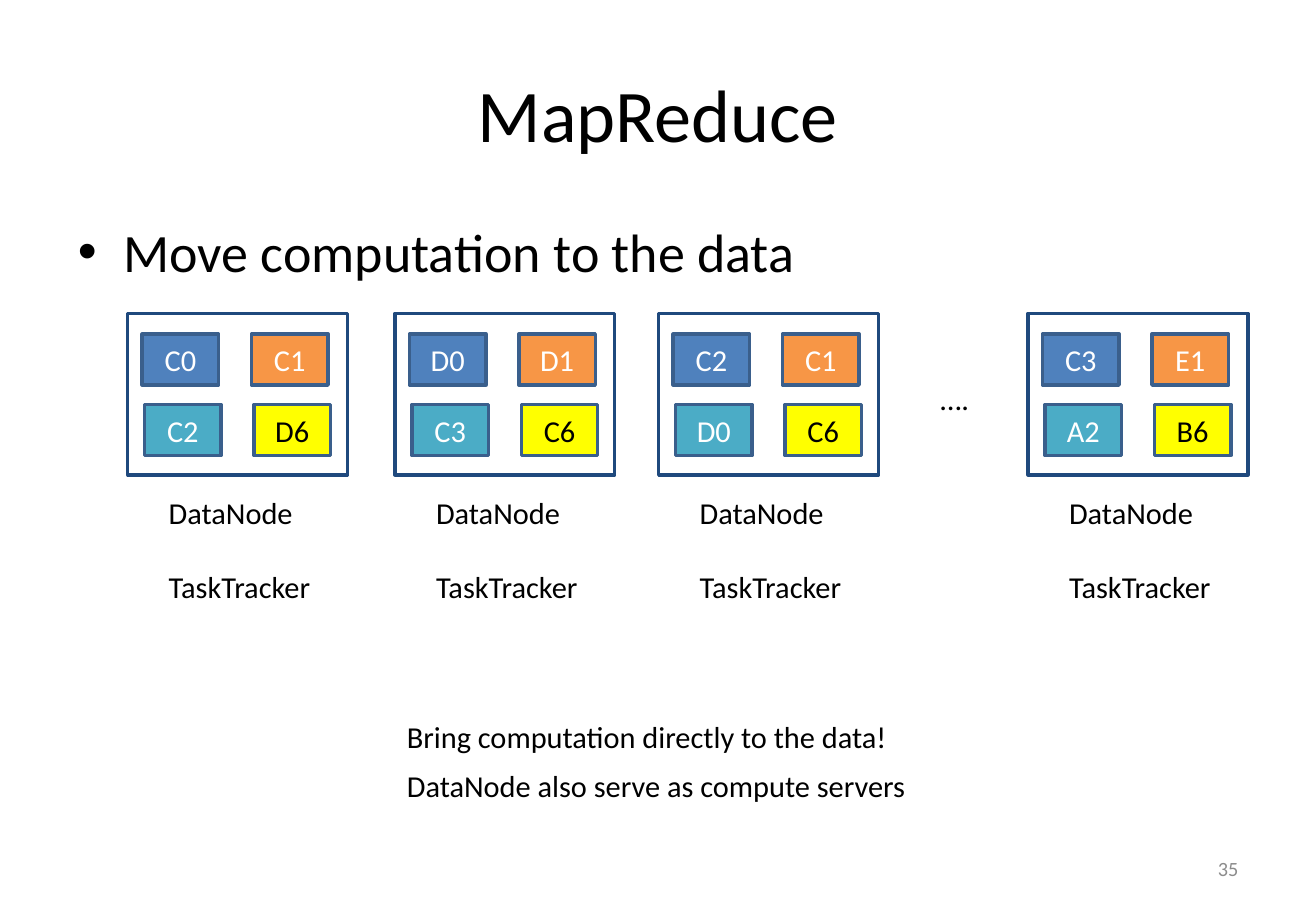
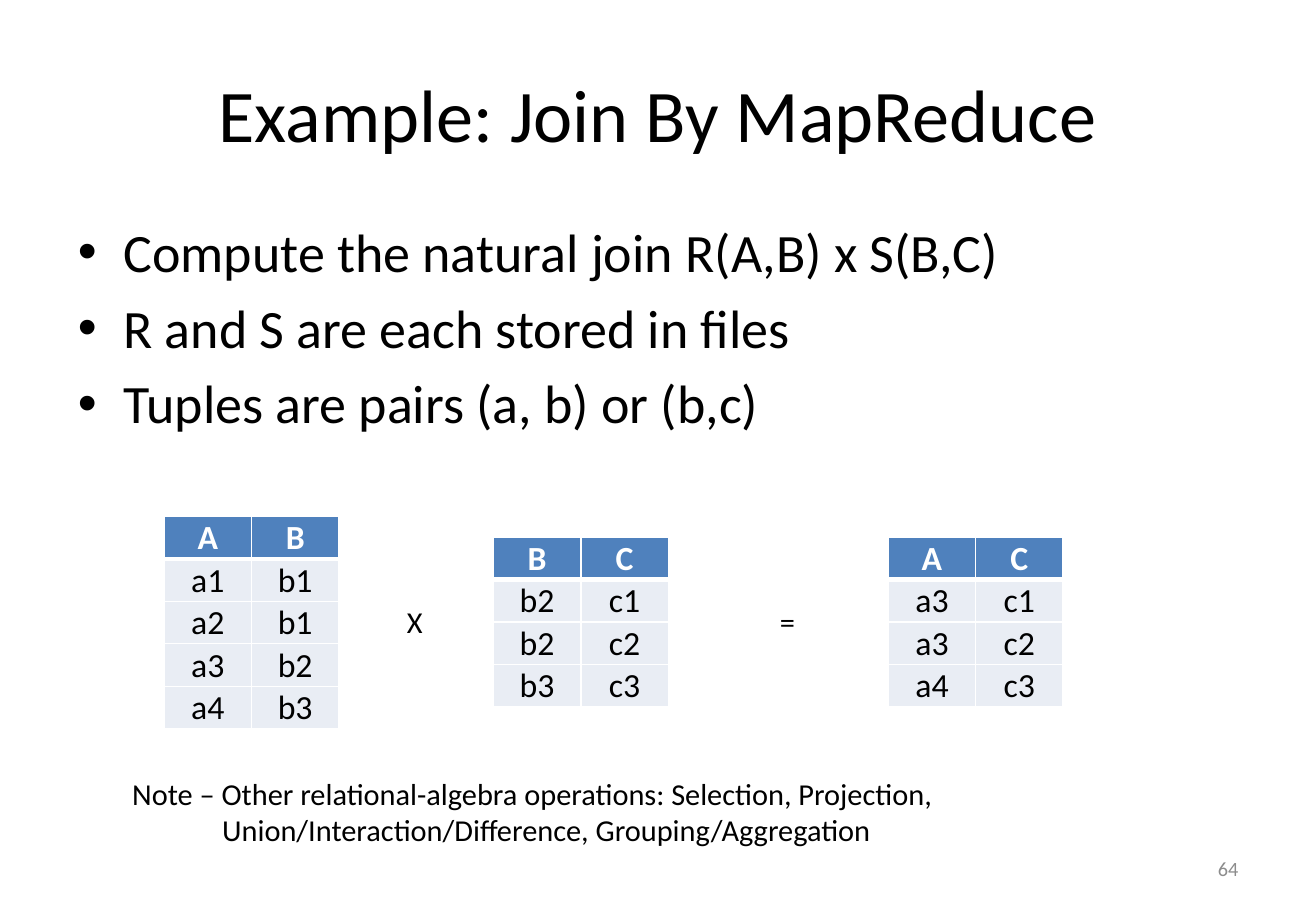
from pptx import Presentation
from pptx.dml.color import RGBColor
from pptx.enum.shapes import MSO_SHAPE
from pptx.enum.text import MSO_ANCHOR, PP_ALIGN
from pptx.oxml.ns import qn
from pptx.util import Inches, Pt
from lxml import etree

RECT = MSO_SHAPE.RECTANGLE
LEFT, CENTER, RIGHT = PP_ALIGN.LEFT, PP_ALIGN.CENTER, PP_ALIGN.RIGHT
TOP, MIDDLE, BOTTOM = MSO_ANCHOR.TOP, MSO_ANCHOR.MIDDLE, MSO_ANCHOR.BOTTOM

COLORS = {
    "black": "000000", "white": "FFFFFF", "gray": "8C8C8C",
    "navy": "1F497D", "edge": "3A5F8C", "blue": "4F81BD",
    "orange": "F79646", "teal": "4BACC6", "yellow": "FFFF00",
    "pale": "E9EDF4",
}
FONT = "Calibri"


def rgb(name):
    return RGBColor.from_string(COLORS[name])


class Deck:
    """Holds the shared style and the current slide."""

    def __init__(self):
        self.prs = Presentation()
        self.prs.slide_width = Inches(10.83)
        self.prs.slide_height = Inches(7.5)

    def style(self, p, size, color="black", align=LEFT, bold=False):
        p.alignment = align
        p.font.name, p.font.size, p.font.bold = FONT, Pt(size), bold
        p.font.color.rgb = rgb(color)

    def place(self, sp, x, y, w, h):
        sp.left, sp.top, sp.width, sp.height = map(Inches, (x, y, w, h))

    def slide(self, title, bullets, number):
        self.s = self.prs.slides.add_slide(self.prs.slide_layouts[1])
        head, body = self.s.placeholders
        self.place(head, 0.54, 0.3, 9.75, 1.25)
        head.text_frame.text = title
        head.text_frame.vertical_anchor = MIDDLE
        self.style(head.text_frame.paragraphs[0], 44, align=CENTER)
        self.place(body, 0.54, 1.75, 9.75, 4.95)
        body.text_frame.text = "\n".join(bullets)
        for p in body.text_frame.paragraphs:
            self.style(p, 32)
        self.text(number, 7.76, 6.95, 2.53, size=12, color="gray",
                  align=RIGHT, anchor=MIDDLE)

    def text(self, text, x, y, w, h=0.4, size=18, color="black",
             align=LEFT, anchor=TOP):
        tf = self.s.shapes.add_textbox(*map(Inches, (x, y, w, h))).text_frame
        tf.word_wrap = False
        tf.vertical_anchor = anchor
        tf.text = text
        for p in tf.paragraphs:
            self.style(p, size, color, align)
        return tf

    def box(self, x, y, w, h, fill, line, text="", color="white"):
        sp = self.s.shapes.add_shape(RECT, *map(Inches, (x, y, w, h)))
        sp.shadow.inherit = False
        sp.fill.solid()
        sp.fill.fore_color.rgb = rgb(fill)
        sp.line.color.rgb = rgb(line)
        sp.line.width = Pt(2)
        if text:
            tf = sp.text_frame
            tf.text = text
            tf.vertical_anchor = MIDDLE
            self.style(tf.paragraphs[0], 18, color, CENTER)

    def borders(self, cell, header_rule):
        tc_pr = cell._tc.get_or_add_tcPr()
        for side, above in (("L", False), ("R", False),
                            ("T", header_rule == "top"),
                            ("B", header_rule == "bottom")):
            ln = etree.SubElement(tc_pr, qn("a:ln" + side),
                                  w=str(Pt(3 if above else 1)))
            fill = etree.SubElement(ln, qn("a:solidFill"))
            etree.SubElement(fill, qn("a:srgbClr"), val=COLORS["white"])

    def table(self, x, y, rows, col_w=0.72, row_h=0.35):
        n, m = len(rows), len(rows[0])
        table = self.s.shapes.add_table(
            n, m, *map(Inches, (x, y, m * col_w, n * row_h))).table
        table.horz_banding = False
        for i, row in enumerate(rows):
            header = i == 0
            table.rows[i].height = Inches(row_h)
            for j, value in enumerate(row):
                cell = table.cell(i, j)
                cell.text = value
                cell.vertical_anchor = BOTTOM
                cell.margin_left = cell.margin_right = Inches(0.01)
                cell.margin_top, cell.margin_bottom = Inches(0.01), 0
                self.borders(cell, {0: "bottom", 1: "top"}.get(i))
                cell.fill.solid()
                cell.fill.fore_color.rgb = rgb("blue" if header else "pale")
                self.style(cell.text_frame.paragraphs[0], 20,
                           "white" if header else "black", CENTER, header)

    def data_node(self, x, blocks):
        y = 2.58
        self.box(x, y, 1.81, 1.33, "white", "navy")
        chips = ((0.12, 0.17, "blue", "white"), (1.02, 0.17, "orange", "white"),
                 (0.14, 0.75, "teal", "white"), (1.04, 0.75, "yellow", "black"))
        for block, (dx, dy, fill, color) in zip(blocks, chips):
            self.box(x + dx, y + dy, 0.63, 0.42, fill, "edge", block, color)
        self.text("DataNode", x + 0.24, 4.02, 1.23)
        self.text("TaskTracker", x + 0.24, 4.63, 1.38)


def main():
    deck = Deck()

    # Data nodes, each with four blocks
    deck.slide("MapReduce", ["Move computation to the data"], "35")
    for x, blocks in ((1.05, ("C0", "C1", "C2", "D6")),
                      (3.25, ("D0", "D1", "C3", "C6")),
                      (5.42, ("C2", "C1", "D0", "C6")),
                      (8.46, ("C3", "E1", "A2", "B6"))):
        deck.data_node(x, blocks)
    deck.text("….", 7.64, 3.08, 0.44)
    deck.text("Bring computation directly to the data!", 3.25, 5.86, 4.2)
    deck.text("DataNode also serve as compute servers", 3.25, 6.27, 4.32)

    # Join of two tables
    deck.slide("Example: Join By MapReduce",
               ["Compute the natural join R(A,B) x S(B,C)",
                "R and S are each stored in files",
                "Tuples are pairs (a, b) or (b,c)"], "64")
    deck.table(1.35, 4.25, ("AB", ("a1", "b1"), ("a2", "b1"),
                            ("a3", "b2"), ("a4", "b3")))
    deck.table(4.06, 4.42, ("BC", ("b2", "c1"), ("b2", "c2"), ("b3", "c3")))
    deck.table(7.31, 4.42, ("AC", ("a3", "c1"), ("a3", "c2"), ("a4", "c3")))
    deck.text("X", 3.25, 4.92, 0.33)
    deck.text("=", 6.32, 4.92, 0.33)

    # Note, its second line aligned after the dash
    note = deck.text(
        "Note – Other relational-algebra operations: Selection, Projection,\n"
        "Union/Interaction/Difference, Grouping/Aggregation",
        0.99, 6.33, 6.93, 0.71)
    note.paragraphs[1]._p.get_or_add_pPr().set("marL", str(Inches(0.74)))

    deck.prs.save("out.pptx")


if __name__ == "__main__":
    main()
